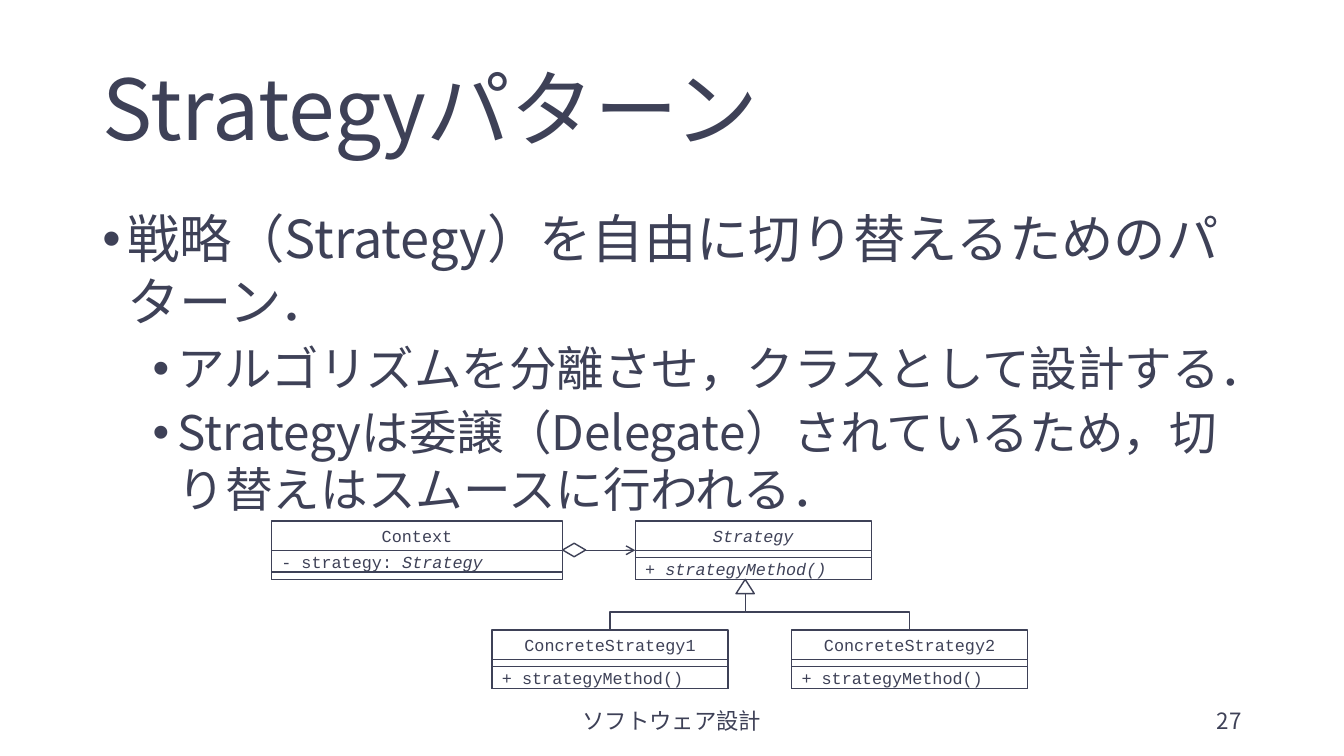
import pptx
import pptx.util
import pptx.dml.color
import pptx.enum.shapes
import pptx.enum.text
import pptx.oxml.ns
from lxml import etree

Cm, Pt = pptx.util.Cm, pptx.util.Pt
SHAPE = pptx.enum.shapes.MSO_SHAPE
CONNECTOR = pptx.enum.shapes.MSO_CONNECTOR
ALIGN = pptx.enum.text.PP_ALIGN
ANCHOR = pptx.enum.text.MSO_ANCHOR
qn = pptx.oxml.ns.qn

INK = pptx.dml.color.RGBColor(0x3E, 0x41, 0x57)
PAPER = pptx.dml.color.RGBColor(0xFF, 0xFF, 0xFF)
SANS = "Noto Sans CJK JP"
MONO = "Courier New"

# Heights of the class box compartments, in cm
NAME_ROW, EMPTY_ROW, MEMBER_ROW = 0.74, 0.18, 0.55


def write(paragraph, text, size=12, font=MONO, italic=False, align=ALIGN.LEFT,
          line_spacing=None, space_before=None):
    """Append one formatted run to a paragraph."""
    paragraph.alignment = align
    if line_spacing:
        paragraph.line_spacing = line_spacing
    if space_before:
        paragraph.space_before = Pt(space_before)
    run = paragraph.add_run()
    run.text = text
    run.font.size = Pt(size)
    run.font.italic = italic
    run.font.color.rgb = INK
    run.font.name = font
    etree.SubElement(run.font._element, qn("a:ea")).set("typeface", font)


def text_frame(slide, left, top, width, height, anchor=ANCHOR.MIDDLE):
    box = slide.shapes.add_textbox(Cm(left), Cm(top), Cm(width), Cm(height))
    frame = box.text_frame
    frame.word_wrap = True
    frame.vertical_anchor = anchor
    return frame


def add_title(slide, left, top, width, height):
    frame = text_frame(slide, left, top, width, height)
    write(frame.paragraphs[0], "Strategyパターン", size=60, font=SANS, line_spacing=0.9)


def add_bullets(slide, left, top, width, height):
    frame = text_frame(slide, left, top, width, height, ANCHOR.TOP)
    items = [
        (0, "戦略（Strategy）を自由に切り替えるためのパターン．"),
        (1, "アルゴリズムを分離させ，クラスとして設計する．"),
        (1, "Strategyは委譲（Delegate）されているため，切り替えはスムースに行われる．"),
    ]
    for index, (level, text) in enumerate(items):
        paragraph = frame.add_paragraph() if index else frame.paragraphs[0]
        paragraph.level = level
        properties = paragraph._p.get_or_add_pPr()
        properties.set("marL", str(Cm(0.635 + 1.27 * level)))
        properties.set("indent", str(-Cm(0.635)))
        properties.set("hangingPunct", "1")
        etree.SubElement(properties, qn("a:buFont")).set("typeface", "Arial")
        etree.SubElement(properties, qn("a:buChar")).set("char", "•")
        write(paragraph, text, size=34 if level else 37.4, font=SANS,
              line_spacing=1.0, space_before=5 if index else None)


def add_footer(slide, left, top, width, height):
    footer = text_frame(slide, left, top, 11.43, height)
    write(footer.paragraphs[0], "ソフトウェア設計", size=16, font=SANS, align=ALIGN.CENTER)
    number_width = 7.62
    number = text_frame(slide, left + width - number_width, top, number_width, height)
    write(number.paragraphs[0], "27", size=16, font=SANS, align=ALIGN.RIGHT)


def outlined(shapes, kind, left, top, width, height):
    shape = shapes.add_shape(kind, Cm(left), Cm(top), Cm(width), Cm(height))
    shape.shadow.inherit = False
    shape.fill.solid()
    shape.fill.fore_color.rgb = PAPER
    shape.line.color.rgb = INK
    shape.line.width = Pt(1)
    return shape


def add_class(slide, left, top, width, name, attribute=(), method=(), abstract=False):
    """Draw a class box; members are lists of (text, italic). Return its frame."""
    shapes = slide.shapes.add_group_shape().shapes
    rows = [(member, MEMBER_ROW if member else EMPTY_ROW) for member in (attribute, method)]
    height = NAME_ROW + sum(row_height for _, row_height in rows)
    frame = outlined(shapes, SHAPE.RECTANGLE, left, top, width, height)
    frame.text_frame.vertical_anchor = ANCHOR.TOP
    write(frame.text_frame.paragraphs[0], name, italic=abstract, align=ALIGN.CENTER)
    row_top = top + NAME_ROW
    for member, row_height in rows:
        row = outlined(shapes, SHAPE.RECTANGLE, left, row_top, width, row_height)
        row.text_frame.vertical_anchor = ANCHOR.MIDDLE
        for text, italic in member:
            write(row.text_frame.paragraphs[0], text, italic=italic)
        row_top += row_height
    return frame


def add_line(slide, kind, begin_x, begin_y, end_x, end_y):
    line = slide.shapes.add_connector(kind, begin_x, begin_y, end_x, end_y)
    line.line.color.rgb = INK
    line.line.width = Pt(1)
    etree.SubElement(line._element.spPr, qn("a:effectLst"))
    return line


def add_inheritance(slide, child, join_x, join_y):
    """Vertical elbow from the top of a child class up to the join point."""
    start_x, start_y = child.left + child.width // 2, child.top
    middle_x, middle_y = (start_x + join_x) // 2, (start_y + join_y) // 2
    # The ends are turned a quarter clockwise, then rotated back by 270 degrees
    ends = [(middle_x - (y - middle_y), middle_y + (x - middle_x))
            for x, y in ((start_x, start_y), (join_x, join_y))]
    elbow = add_line(slide, CONNECTOR.ELBOW, *ends[0], *ends[1])
    elbow._element.spPr.find(qn("a:xfrm")).set("rot", str(270 * 60000))


def add_class_diagram(slide, left, top):
    class_width, context_width = 5.95, 7.34
    context = add_class(slide, left, top, context_width, "Context",
                        attribute=[("- strategy: ", False), ("Strategy", True)])
    strategy = add_class(slide, left + 9.17, top, class_width, "Strategy",
                         method=[("+ strategyMethod()", True)], abstract=True)
    concretes = [
        add_class(slide, left + offset, top + 2.75, class_width, name,
                  method=[("+ strategyMethod()", False)])
        for name, offset in (("ConcreteStrategy1", 5.56), ("ConcreteStrategy2", 13.11))
    ]

    # Aggregation: Context holds a Strategy
    aggregation = add_line(slide, CONNECTOR.STRAIGHT, 0, 0, 0, 0)
    aggregation.begin_connect(context, 3)
    aggregation.end_connect(strategy, 1)
    tail = etree.SubElement(aggregation.line._get_or_add_ln(), qn("a:tailEnd"))
    tail.set("type", "arrow")
    outlined(slide.shapes, SHAPE.DIAMOND, left + context_width, top + 0.56, 0.58, 0.34)

    # Inheritance: both concrete classes join below the triangle
    join_x, join_y = left + 11.94, top + 1.83
    for concrete in concretes:
        add_inheritance(slide, concrete, Cm(join_x), Cm(join_y))
    outlined(slide.shapes, SHAPE.ISOSCELES_TRIANGLE, join_x - 0.23, join_y - 0.36, 0.46, 0.36)


def main():
    deck = pptx.Presentation()
    deck.slide_width, deck.slide_height = Cm(33.87), Cm(19.05)
    slide = deck.slides.add_slide(deck.slide_layouts[6])
    add_title(slide, 2.33, 1.01, 29.21, 3.68)
    add_bullets(slide, 2.33, 5.08, 29.21, 8.61)
    add_footer(slide, 11.22, 17.65, 20.32, 1.02)
    add_class_diagram(slide, 6.84, 13.13)
    deck.save("out.pptx")


if __name__ == "__main__":
    main()
